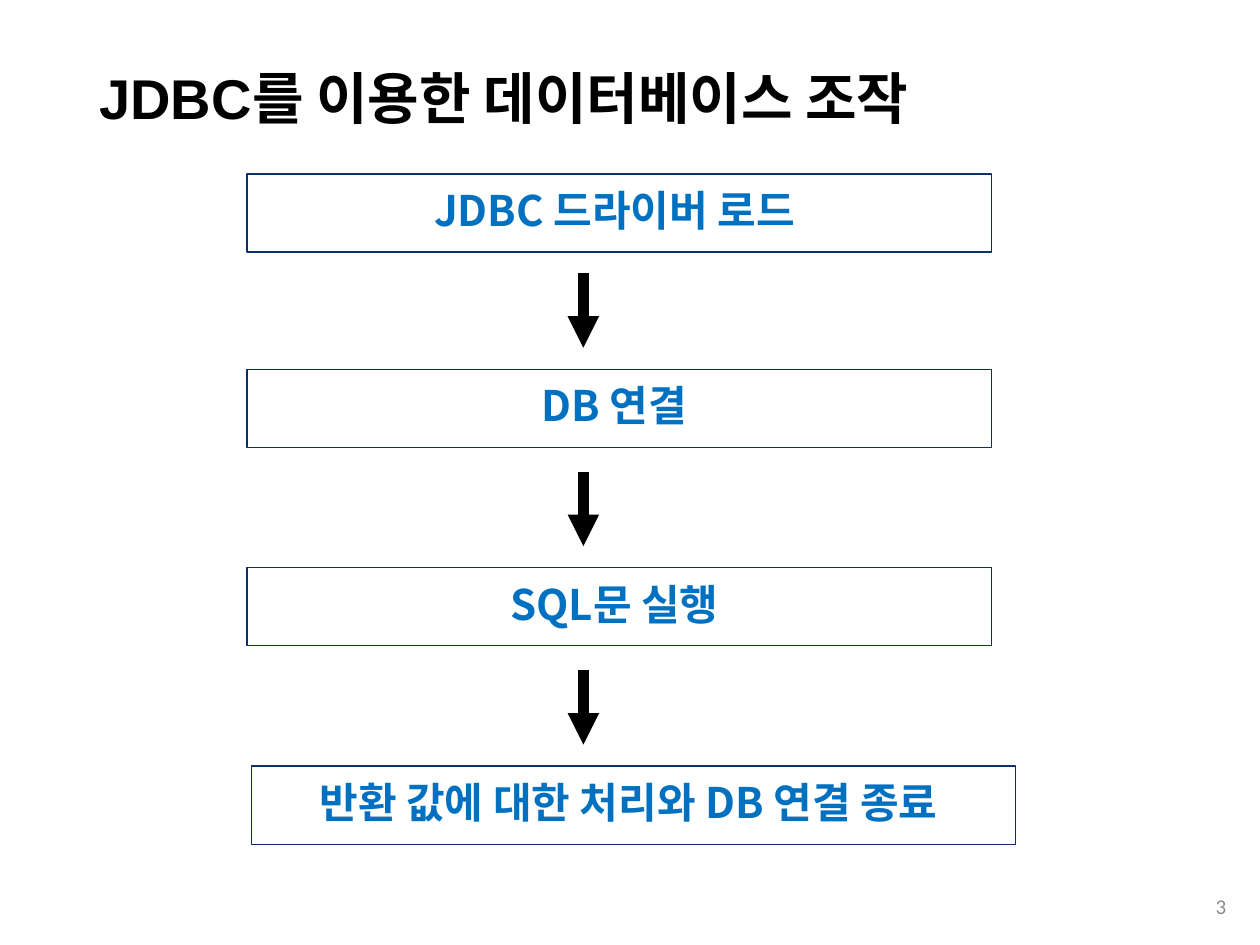
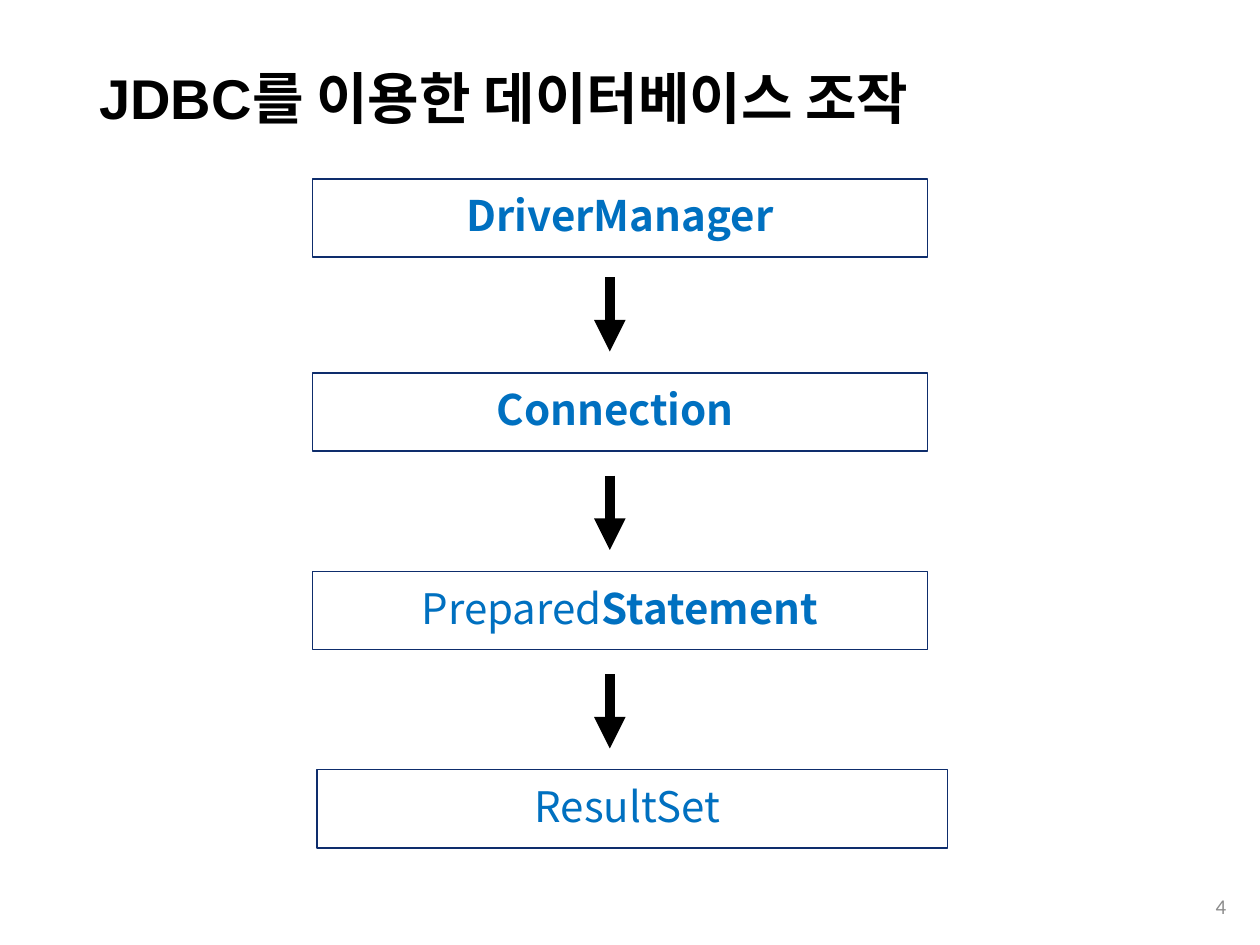
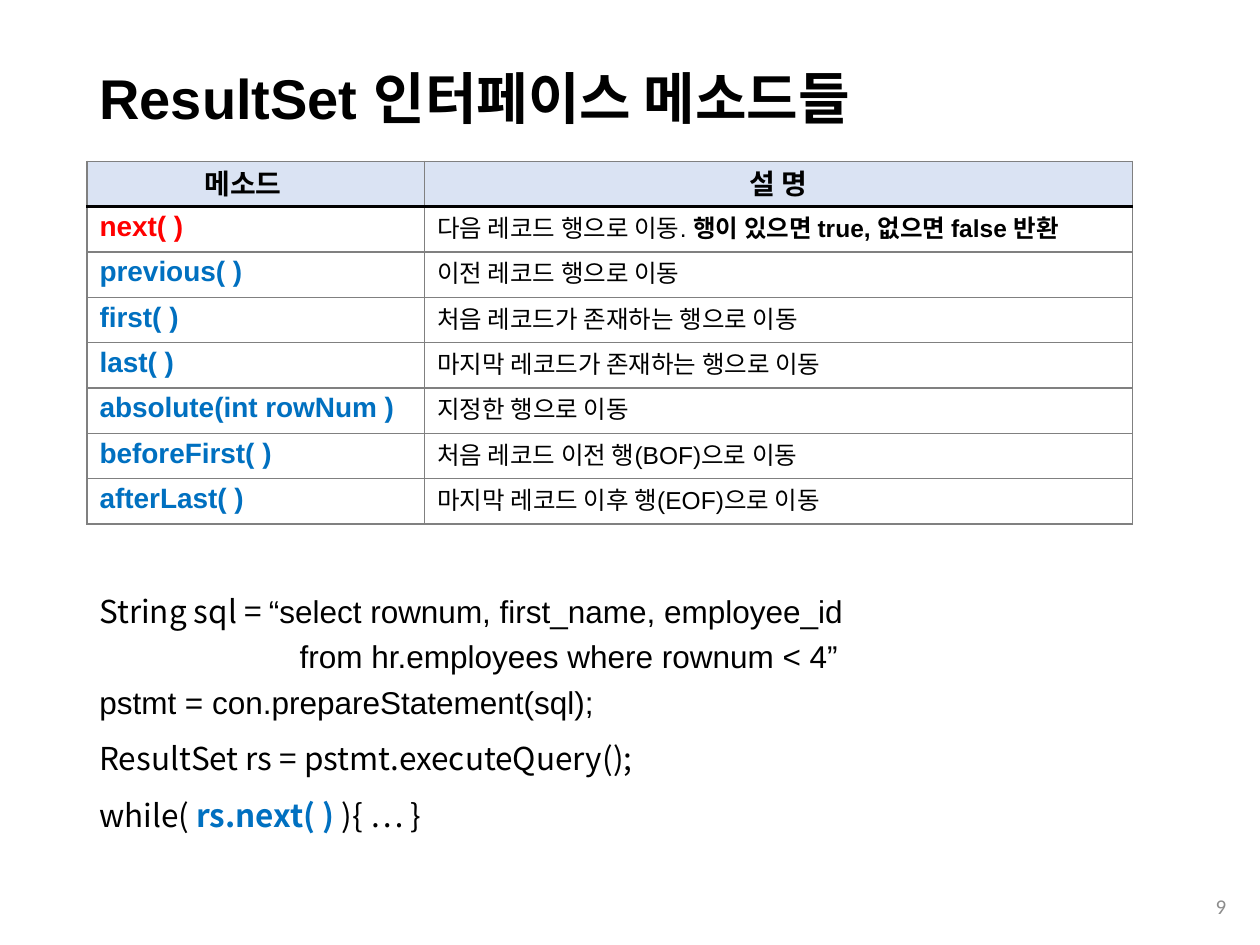
from dataclasses import dataclass
from typing import Any

from lxml.etree import SubElement
from pptx import Presentation
from pptx.dml.color import RGBColor
from pptx.enum.shapes import MSO_CONNECTOR, MSO_SHAPE
from pptx.enum.text import MSO_ANCHOR, MSO_AUTO_SIZE, PP_ALIGN
from pptx.oxml.ns import qn
from pptx.util import Inches, Pt

COLORS = {
    "black": "000000",
    "blue": "0070C0",
    "red": "FF0000",
    "navy": "0E2D6C",
    "gray": "808080",
    "number": "8C8C8C",
    "header": "DAE3F3",
}
HANGUL_FONT = "Noto Sans CJK KR"
STEP_GAP = 1.575
BOX_HEIGHT = 0.62
LAST_BOX_SHIFT = 0.035
LAST_BOX_SCALE = 1.026


@dataclass(frozen=True)
class Style:
    size: float
    font: str = "Arial"
    color: str = "black"
    bold: bool = False


@dataclass(frozen=True)
class Span:
    text: str
    style: Style


@dataclass(frozen=True)
class Line:
    spans: tuple[Span, ...]
    spacing: float = 1.0
    indent: float = 0


@dataclass(frozen=True)
class Flow:
    title: str
    number: int
    left: float
    width: float
    first_top: float
    second_top: float
    arrow_x: float
    steps: tuple[tuple[Span, ...], ...]


@dataclass(frozen=True)
class Method:
    name: str
    description: tuple[Span, ...]
    style: Style


TITLE = Style(32, bold=True)
NUMBER = Style(12, "Calibri", "number")
STEP = Style(24, HANGUL_FONT, "blue")
STEP_BOLD = Style(24, HANGUL_FONT, "blue", True)
HEADER = Style(16, bold=True)
METHOD = Style(16, color="blue", bold=True)
METHOD_KEY = Style(16, color="red", bold=True)
BODY = Style(14)
BODY_BOLD = Style(14, bold=True)
CODE = Style(18)
CODE_HANGUL = Style(18, HANGUL_FONT)
CODE_KEY = Style(18, HANGUL_FONT, "blue", True)

FLOW_TITLE = "JDBC를 이용한 데이터베이스 조작"
FLOWS = (
    Flow(FLOW_TITLE, 3, 1.96, 5.91, 1.38, 2.93, 4.63, (
        (Span("JDBC 드라이버 로드 ", STEP_BOLD),),
        (Span("DB 연결 ", STEP_BOLD),),
        (Span("SQL문 실행 ", STEP_BOLD),),
        (Span("반환 값에 대한 처리와 DB 연결 종료 ", STEP_BOLD),),
    )),
    Flow(FLOW_TITLE, 4, 2.48, 4.88, 1.42, 2.96, 4.84, (
        (Span("DriverManager", STEP_BOLD),),
        (Span("Connection ", STEP_BOLD),),
        (Span(" Prepared", STEP), Span("Statement ", STEP_BOLD)),
        (Span("ResultSet ", STEP),),
    )),
)
METHODS = (
    Method("next( )", (
        Span("다음 레코드 행으로 이동. ", BODY),
        Span("행이 있으면 true, 없으면 false 반환", BODY_BOLD),
    ), METHOD_KEY),
    Method("previous( )", (Span("이전 레코드 행으로 이동", BODY),), METHOD),
    Method("first( )", (Span("처음 레코드가 존재하는 행으로 이동", BODY),), METHOD),
    Method("last( )", (Span("마지막 레코드가 존재하는 행으로 이동", BODY),), METHOD),
    Method("absolute(int rowNum )", (Span("지정한 행으로 이동", BODY),), METHOD),
    Method("beforeFirst( )", (Span("처음 레코드 이전 행(BOF)으로 이동", BODY),), METHOD),
    Method("afterLast( )", (Span("마지막 레코드 이후 행(EOF)으로 이동", BODY),), METHOD),
)
CODE_LINES = (
    Line((
        Span("String sql = ", CODE_HANGUL),
        Span("“select rownum, first_name, employee_id", CODE),
    ), 1.2),
    Line((Span("from hr.employees where rownum < 4”", CODE),), 1.2, 1.59),
    Line((Span("pstmt = con.prepareStatement(sql);", CODE),), 1.2),
    Line((Span("ResultSet rs = pstmt.executeQuery();", CODE_HANGUL),), 1.5),
    Line((
        Span("while( ", CODE_HANGUL),
        Span("rs.next( ) ", CODE_KEY),
        Span("){ … }", CODE_HANGUL),
    ), 1.5),
)


def apply(target: Any, values: dict[str, Any]) -> None:
    for name, value in values.items():
        setattr(target, name, value)


def color(name: str) -> RGBColor:
    return RGBColor.from_string(COLORS[name])


def write(para: Any, spans: tuple[Span, ...], **values: Any) -> None:
    apply(para, values)
    for span in spans:
        run = para.add_run()
        run.text = span.text
        style = span.style
        apply(run.font, {"size": Pt(style.size), "name": style.font, "bold": style.bold})
        run.font.color.rgb = color(style.color)
        SubElement(run.font._element, qn("a:ea"), typeface=HANGUL_FONT)


def add_text(page: Any, left: float, top: float, width: float, height: float, **values: Any) -> Any:
    box = page.shapes.add_textbox(Inches(left), Inches(top), Inches(width), Inches(height))
    apply(box.text_frame, {"word_wrap": True, **values})
    return box.text_frame


def add_page(deck: Any, title: str, number: int) -> Any:
    page = deck.slides.add_slide(deck.slide_layouts[6])
    heading = add_text(page, 0.69, 0.4, 8.62, 0.81, vertical_anchor=MSO_ANCHOR.MIDDLE)
    write(heading.paragraphs[0], (Span(title, TITLE),), line_spacing=0.9)
    footer = add_text(page, 9.34, 6.99, 0.49, 0.4, vertical_anchor=MSO_ANCHOR.MIDDLE)
    write(footer.paragraphs[0], (Span(str(number), NUMBER),), alignment=PP_ALIGN.RIGHT)
    return page


def add_step(page: Any, left: float, top: float, width: float, spans: tuple[Span, ...]) -> None:
    box = page.shapes.add_shape(
        MSO_SHAPE.RECTANGLE, Inches(left), Inches(top), Inches(width), Inches(BOX_HEIGHT)
    )
    box.shadow.inherit = False
    box.fill.background()
    box.line.color.rgb = color("navy")
    box.line.width = Pt(0.75)
    apply(box.text_frame, {"word_wrap": True, "vertical_anchor": MSO_ANCHOR.MIDDLE})
    write(box.text_frame.paragraphs[0], spans,
          alignment=PP_ALIGN.CENTER, line_spacing=0.9, space_before=Pt(6))


def add_arrow(page: Any, x: float, top: float, bottom: float) -> None:
    arrow = page.shapes.add_connector(
        MSO_CONNECTOR.STRAIGHT, Inches(x), Inches(top), Inches(x), Inches(bottom)
    )
    arrow.line.color.rgb = color("black")
    arrow.line.width = Pt(6)
    SubElement(arrow.line._get_or_add_ln(), qn("a:tailEnd"), type="triangle")
    SubElement(arrow._element.spPr, qn("a:effectLst"))


def add_flow(deck: Any, flow: Flow) -> None:
    page = add_page(deck, flow.title, flow.number)
    tops = [flow.first_top] + [flow.second_top + STEP_GAP * index for index in range(3)]
    for top, spans in zip(tops[:-1], flow.steps):
        add_step(page, flow.left, top, flow.width, spans)
    add_step(page, flow.left + LAST_BOX_SHIFT, tops[-1], flow.width * LAST_BOX_SCALE, flow.steps[-1])
    for top in tops[1:]:
        add_arrow(page, flow.arrow_x, top - 0.76, top - 0.17)


def add_border(cell: Any, side: str, name: str, width: float) -> None:
    border = SubElement(cell._tc.get_or_add_tcPr(), qn(f"a:ln{side}"), w=str(Pt(width)))
    fill = SubElement(border, qn("a:solidFill"))
    SubElement(fill, qn("a:srgbClr"), val=COLORS[name])


def fill_cell(cell: Any, spans: tuple[Span, ...], row: int) -> None:
    apply(cell, {
        "margin_left": Inches(0.1),
        "margin_top": Inches(0.01),
        "margin_right": Inches(0.1),
        "margin_bottom": Inches(0.05),
        "vertical_anchor": MSO_ANCHOR.MIDDLE,
    })
    heavy_sides = {0: "B", 1: "T"}
    for side in "LRTB":
        heavy = heavy_sides.get(row) == side
        add_border(cell, side, "black" if heavy else "gray", 2.25 if heavy else 1)
    if row == 0:
        cell.fill.solid()
        cell.fill.fore_color.rgb = color("header")
    else:
        cell.fill.background()
    write(cell.text_frame.paragraphs[0], spans,
          alignment=PP_ALIGN.JUSTIFY if row else PP_ALIGN.CENTER)


def add_methods(page: Any) -> None:
    rows = [((Span("메소드", HEADER),), (Span("설 명", HEADER),))]
    rows += [((Span(method.name, method.style),), method.description) for method in METHODS]
    table = page.shapes.add_table(
        len(rows), 2, Inches(0.69), Inches(1.28), Inches(8.3), Inches(0.36 * len(rows))
    ).table
    apply(table, {"first_row": False, "horz_banding": False})
    for column, width in zip(table.columns, (2.68, 5.62)):
        column.width = Inches(width)
    for row, texts in enumerate(rows):
        for column, spans in enumerate(texts):
            fill_cell(table.cell(row, column), spans, row)
    table.cell(0, 0).margin_right = Inches(0.3)


def add_code(page: Any) -> None:
    frame = add_text(page, 0.69, 4.59, 7.27, 2.04, auto_size=MSO_AUTO_SIZE.SHAPE_TO_FIT_TEXT)
    for index, line in enumerate(CODE_LINES):
        para = frame.add_paragraph() if index else frame.paragraphs[0]
        write(para, line.spans, line_spacing=line.spacing)
        if line.indent:
            para._p.get_or_add_pPr().set("marL", str(Inches(line.indent)))


def main() -> None:
    deck = Presentation()
    apply(deck, {"slide_width": Inches(10), "slide_height": Inches(7.5)})
    for flow in FLOWS:
        add_flow(deck, flow)
    page = add_page(deck, "ResultSet 인터페이스 메소드들", 9)
    add_methods(page)
    add_code(page)
    deck.save("out.pptx")


if __name__ == "__main__":
    main()
